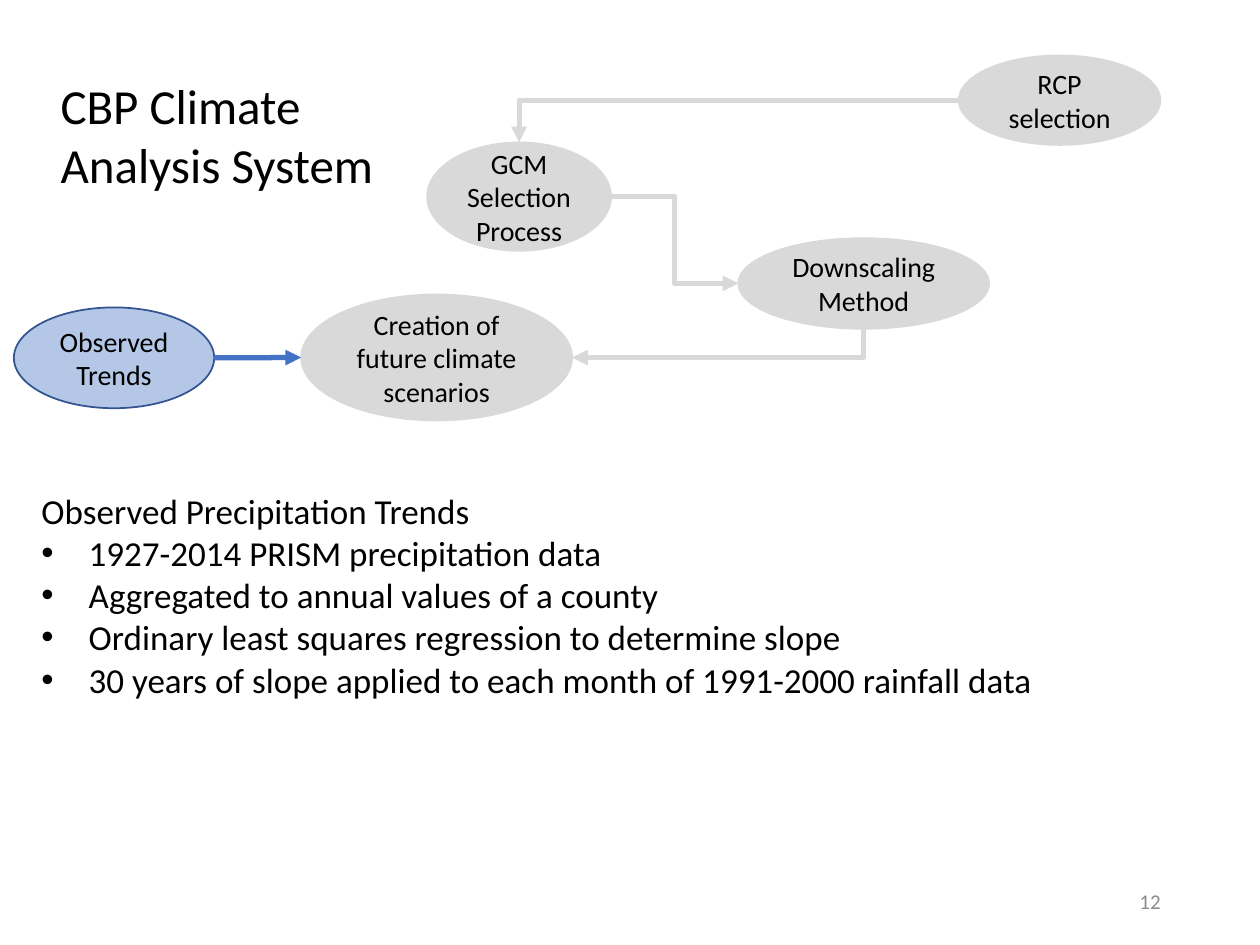
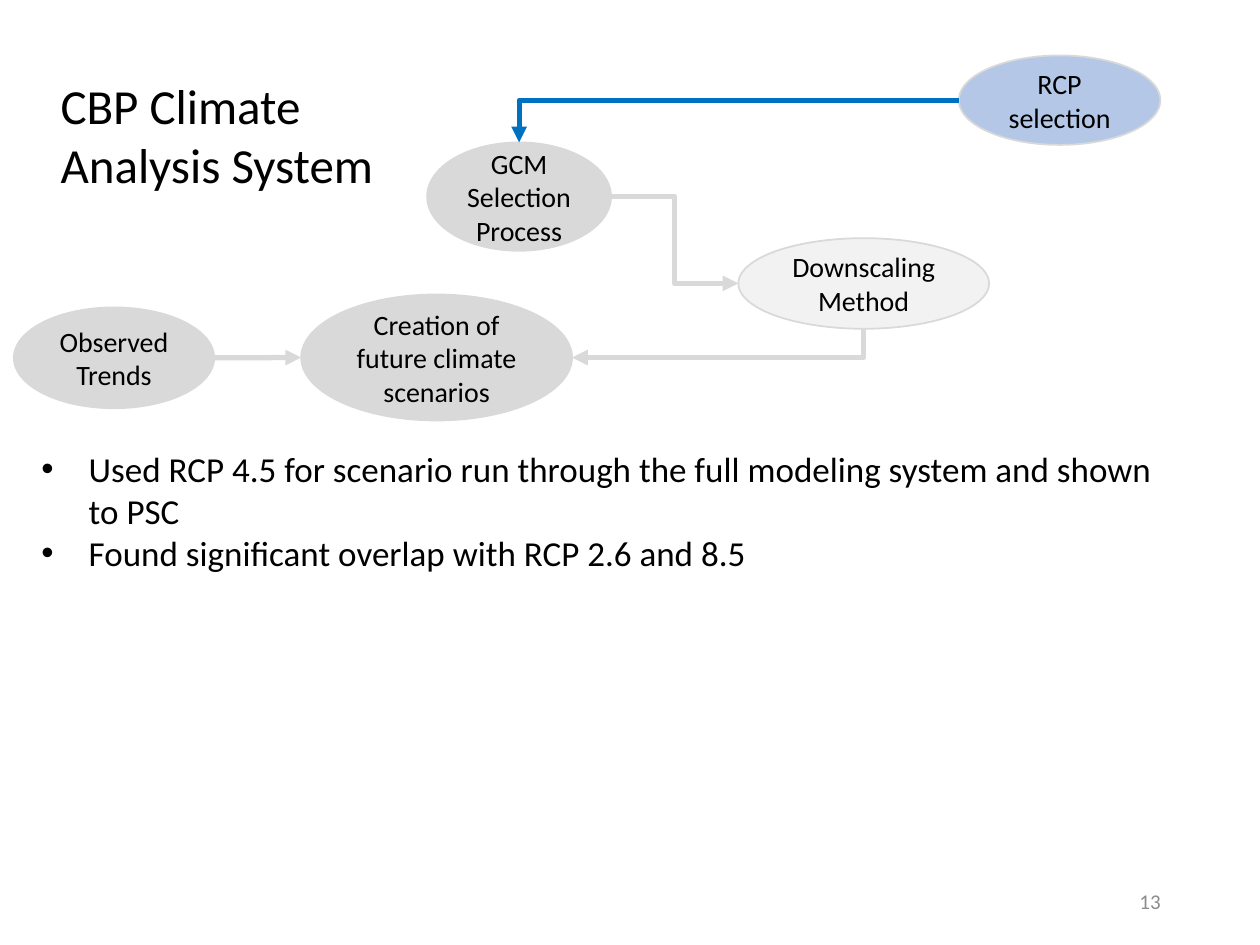
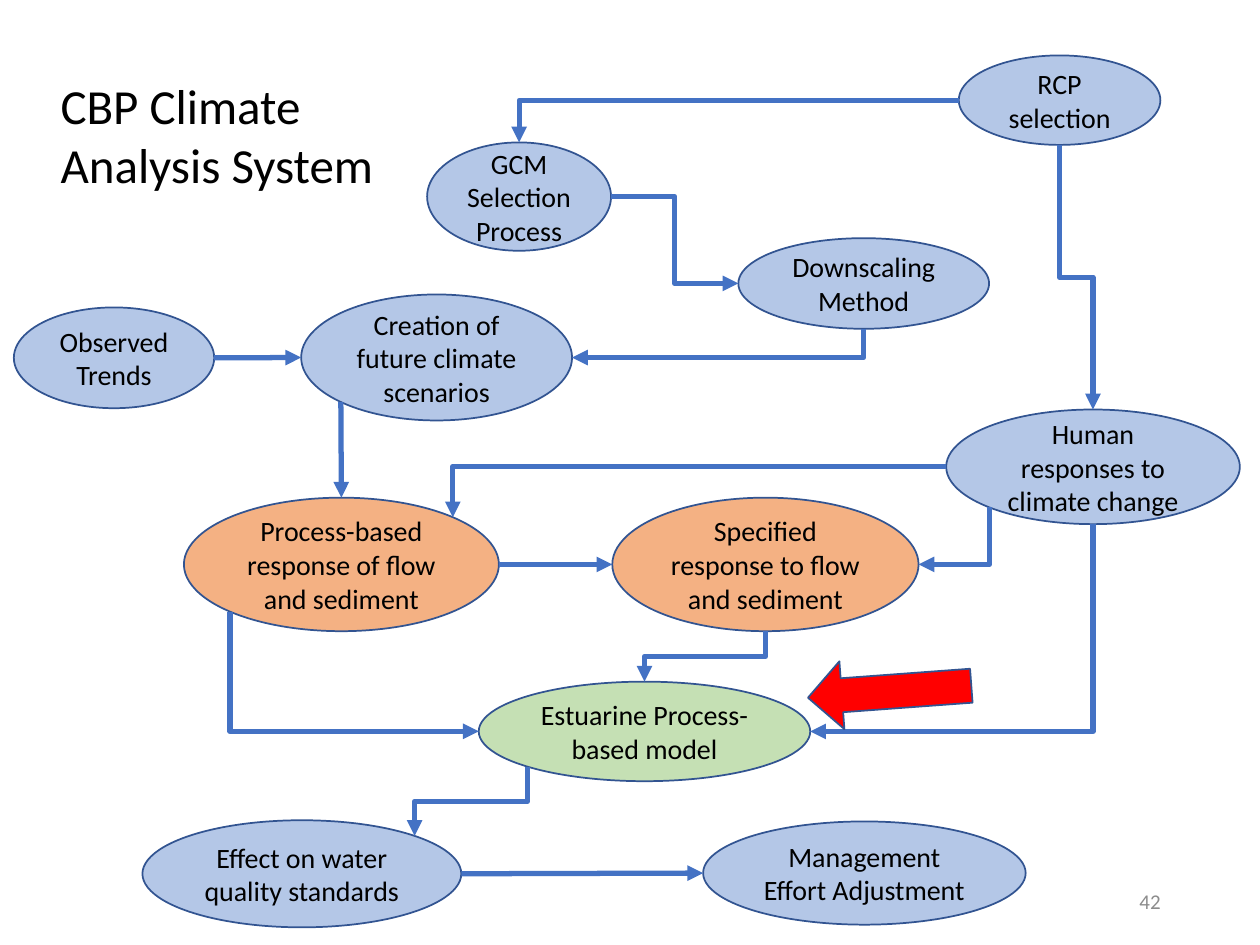
from dataclasses import dataclass, field

from lxml import etree
from pptx import Presentation
from pptx import util as u
from pptx.dml.color import RGBColor
from pptx.enum import shapes, text
from pptx.oxml import ns


@dataclass(frozen=True)
class Theme:
    font: str = "Calibri"
    ink: str = "000000"
    number_ink: str = "8C8C8C"
    blue: str = "B4C7E7"
    orange: str = "F4B183"
    green: str = "C5E0B4"
    gray: str = "D9D9D9"
    pale: str = "F2F2F2"
    edge: str = "325491"
    link: str = "4472C4"
    strong_link: str = "0070C0"
    alert: str = "FF0000"
    title_size: int = 28
    body_size: int = 20
    node_size: int = 16
    number_size: int = 12
    edge_width: float = 1
    link_width: float = 3


THEME = Theme()


@dataclass(frozen=True)
class Tone:
    fill: str
    edge: str


ACTIVE = Tone(THEME.blue, THEME.edge)
MUTED = Tone(THEME.gray, THEME.gray)
ORANGE = Tone(THEME.orange, THEME.edge)
GREEN = Tone(THEME.green, THEME.edge)

DIAGONAL = 0.7071
SITES = {
    "top": (0, -1),
    "left": (-1, 0),
    "bottom": (0, 1),
    "right": (1, 0),
    "bottom left": (-DIAGONAL, DIAGONAL),
    "top right": (DIAGONAL, -DIAGONAL),
}


@dataclass(frozen=True)
class Node:
    label: str
    left: float
    top: float
    width: float
    height: float

    def site(self, name: str) -> tuple[float, float]:
        across, down = SITES[name]
        return (
            self.left + self.width * (1 + across) / 2,
            self.top + self.height * (1 + down) / 2,
        )


@dataclass(frozen=True)
class Link:
    source: str
    leave: str
    target: str
    enter: str


@dataclass(frozen=True)
class Page:
    number: int
    nodes: list[str]
    links: list[Link]
    tone: Tone
    link_color: str
    tones: dict[str, Tone] = field(default_factory=dict)
    link_colors: dict[str, str] = field(default_factory=dict)
    heading: str = ""
    bullets: list[str] = field(default_factory=list)
    body_top: float = 252
    body_height: float = 104.4
    pointer: bool = False


NODES = {
    "gcm": Node("GCM Selection Process", 244.1, 81.4, 105.1, 61.9),
    "rcp": Node("RCP selection", 547.9, 31.7, 115.2, 51.1),
    "downscaling": Node("Downscaling Method", 421.9, 136.1, 143.3, 51.8),
    "observed": Node("Observed Trends", 7.9, 175.7, 114.5, 57.6),
    "scenarios": Node("Creation of future climate scenarios", 172.1, 168.3, 154.8, 72),
    "process": Node("Process-based response of flow and sediment", 105.1, 284.4, 180, 76.3),
    "specified": Node("Specified response to flow and sediment", 349.9, 284.4, 175, 76.3),
    "estuarine": Node("Estuarine Process-based model", 273.6, 389.5, 189.4, 56.9),
    "effect": Node("Effect on water quality standards", 81.4, 468.7, 182.2, 61.2),
    "human": Node("Human responses to climate change", 540.7, 234, 167.8, 65.5),
    "management": Node("Management Effort Adjustment", 401.8, 469.4, 184.3, 59),
}
CLIMATE_NODES = ["gcm", "rcp", "downscaling", "observed", "scenarios"]
CLIMATE_LINKS = [
    Link("gcm", "right", "downscaling", "left"),
    Link("rcp", "left", "gcm", "top"),
    Link("downscaling", "bottom", "scenarios", "right"),
    Link("observed", "right", "scenarios", "left"),
]
RESPONSE_LINKS = [
    Link("scenarios", "bottom left", "process", "top"),
    Link("process", "right", "specified", "left"),
    Link("process", "bottom left", "estuarine", "left"),
    Link("specified", "bottom", "estuarine", "top"),
    Link("estuarine", "bottom left", "effect", "top right"),
    Link("effect", "right", "management", "left"),
    Link("rcp", "bottom", "human", "top"),
    Link("human", "left", "process", "top right"),
    Link("human", "bottom left", "specified", "right"),
    Link("human", "bottom", "estuarine", "right"),
]

PAGES = [
    Page(
        12, CLIMATE_NODES, CLIMATE_LINKS, MUTED, THEME.gray,
        tones={"observed": ACTIVE},
        link_colors={"observed": THEME.link},
        heading="Observed Precipitation Trends",
        bullets=[
            "1927-2014 PRISM precipitation data",
            "Aggregated to annual values of a county",
            "Ordinary least squares regression to determine slope",
            "30 years of slope applied to each month of 1991-2000 rainfall data",
        ],
        body_top=276.4,
        body_height=152.7,
    ),
    Page(
        13, CLIMATE_NODES, CLIMATE_LINKS, MUTED, THEME.gray,
        tones={
            "rcp": Tone(THEME.blue, THEME.gray),
            "downscaling": Tone(THEME.pale, THEME.gray),
        },
        link_colors={"rcp": THEME.strong_link},
        bullets=[
            "Used RCP 4.5 for scenario run through the full modeling system and shown to PSC",
            "Found significant overlap with RCP 2.6 and 8.5",
        ],
    ),
    Page(
        42, list(NODES), CLIMATE_LINKS + RESPONSE_LINKS, ACTIVE, THEME.link,
        tones={"process": ORANGE, "specified": ORANGE, "estuarine": GREEN},
        pointer=True,
    ),
]


def add_span(para, words: str, size: float, color: str = THEME.ink) -> None:
    span = para.add_run()
    span.text = words
    span.font.name = THEME.font
    span.font.size = u.Pt(size)
    span.font.color.rgb = RGBColor.from_string(color)


def paint(shape, tone: Tone) -> None:
    shape.shadow.inherit = False
    shape.fill.solid()
    shape.fill.fore_color.rgb = RGBColor.from_string(tone.fill)
    shape.line.color.rgb = RGBColor.from_string(tone.edge)
    shape.line.width = u.Pt(THEME.edge_width)


def add_title(slide) -> None:
    title = slide.shapes.title
    title.left, title.top = u.Pt(27.4), u.Pt(39.6)
    title.width, title.height = u.Pt(200.2), u.Pt(74.9)
    frame = title.text_frame
    frame.word_wrap = True
    frame.auto_size = text.MSO_AUTO_SIZE.SHAPE_TO_FIT_TEXT
    frame.vertical_anchor = text.MSO_ANCHOR.TOP
    para = frame.paragraphs[0]
    para.alignment = text.PP_ALIGN.LEFT
    add_span(para, "CBP Climate Analysis System", THEME.title_size)


def add_number(slide, number: int) -> None:
    box = slide.shapes.add_textbox(u.Pt(508.3), u.Pt(500.4), u.Pt(162), u.Pt(28.8))
    frame = box.text_frame
    frame.word_wrap = True
    frame.vertical_anchor = text.MSO_ANCHOR.MIDDLE
    para = frame.paragraphs[0]
    para.alignment = text.PP_ALIGN.RIGHT
    add_span(para, str(number), THEME.number_size, THEME.number_ink)


def add_bullet(para) -> None:
    properties = para._p.get_or_add_pPr()
    properties.set("marL", str(u.Pt(27)))
    properties.set("indent", str(-u.Pt(27)))
    etree.SubElement(properties, ns.qn("a:buFont"), typeface="Arial")
    etree.SubElement(properties, ns.qn("a:buChar"), char="•")


def add_body(slide, page: Page) -> None:
    box = slide.shapes.add_textbox(
        u.Pt(16.6), u.Pt(page.body_top), u.Pt(663.8), u.Pt(page.body_height)
    )
    frame = box.text_frame
    frame.word_wrap = True
    frame.auto_size = text.MSO_AUTO_SIZE.SHAPE_TO_FIT_TEXT
    lines = [page.heading] if page.heading else []
    for index, words in enumerate(lines + page.bullets):
        para = frame.add_paragraph() if index else frame.paragraphs[0]
        if words != page.heading:
            add_bullet(para)
        add_span(para, words, THEME.body_size)


def add_node(slide, node: Node, tone: Tone) -> None:
    oval = slide.shapes.add_shape(
        shapes.MSO_SHAPE.OVAL,
        u.Pt(node.left), u.Pt(node.top), u.Pt(node.width), u.Pt(node.height),
    )
    paint(oval, tone)
    para = oval.text_frame.paragraphs[0]
    para.alignment = text.PP_ALIGN.CENTER
    add_span(para, node.label, THEME.node_size)


def add_elbow(slide, link: Link, start: tuple[float, float], end: tuple[float, float]):
    sideways = ("left", "right")
    starts_level = link.leave in sideways
    ends_level = link.enter in sideways
    leftward = end[0] < start[0]
    width, height = abs(end[0] - start[0]), abs(end[1] - start[1])
    if not starts_level:
        width, height = height, width
    left = (start[0] + end[0] - width) / 2
    top = (start[1] + end[1] - height) / 2
    elbow = slide.shapes.add_connector(
        shapes.MSO_CONNECTOR.ELBOW,
        u.Pt(left), u.Pt(top), u.Pt(left + width), u.Pt(top + height),
    )
    properties = elbow._element.spPr
    turns = {
        (True, False): {},
        (True, True): {"rot": "10800000", "flipV": "1"},
        (False, True): {"rot": "5400000"},
        (False, False): {"rot": "16200000", "flipH": "1"},
    }
    for name, value in turns[starts_level, leftward].items():
        properties.find(ns.qn("a:xfrm")).set(name, value)
    if starts_level != ends_level:
        properties.find(ns.qn("a:prstGeom")).set("prst", "bentConnector2")
    return elbow


def add_link(slide, link: Link, color: str) -> None:
    start = NODES[link.source].site(link.leave)
    end = NODES[link.target].site(link.enter)
    if min(abs(end[0] - start[0]), abs(end[1] - start[1])) < 2:
        connector = slide.shapes.add_connector(
            shapes.MSO_CONNECTOR.STRAIGHT, *(u.Pt(length) for length in start + end)
        )
    else:
        connector = add_elbow(slide, link, start, end)
    connector.line.color.rgb = RGBColor.from_string(color)
    connector.line.width = u.Pt(THEME.link_width)
    properties = connector._element.spPr
    outline = properties.find(ns.qn("a:ln"))
    etree.SubElement(outline, ns.qn("a:tailEnd"), type="triangle")
    etree.SubElement(properties, ns.qn("a:effectLst"))


def add_pointer(slide) -> None:
    arrow = slide.shapes.add_shape(
        shapes.MSO_SHAPE.DOWN_ARROW, u.Pt(488.9), u.Pt(348.5), u.Pt(38.9), u.Pt(93.6)
    )
    arrow.rotation = 85.8
    paint(arrow, Tone(THEME.alert, THEME.edge))


def add_page(deck, page: Page) -> None:
    slide = deck.slides.add_slide(deck.slide_layouts.get_by_name("Title Only"))
    add_title(slide)
    for name in page.nodes:
        add_node(slide, NODES[name], page.tones.get(name, page.tone))
    for link in page.links:
        add_link(slide, link, page.link_colors.get(link.source, page.link_color))
    if page.bullets:
        add_body(slide, page)
    if page.pointer:
        add_pointer(slide)
    add_number(slide, page.number)


def main() -> None:
    deck = Presentation()
    deck.slide_width, deck.slide_height = u.Pt(720), u.Pt(540)
    for page in PAGES:
        add_page(deck, page)
    deck.save("out.pptx")


if __name__ == "__main__":
    main()
